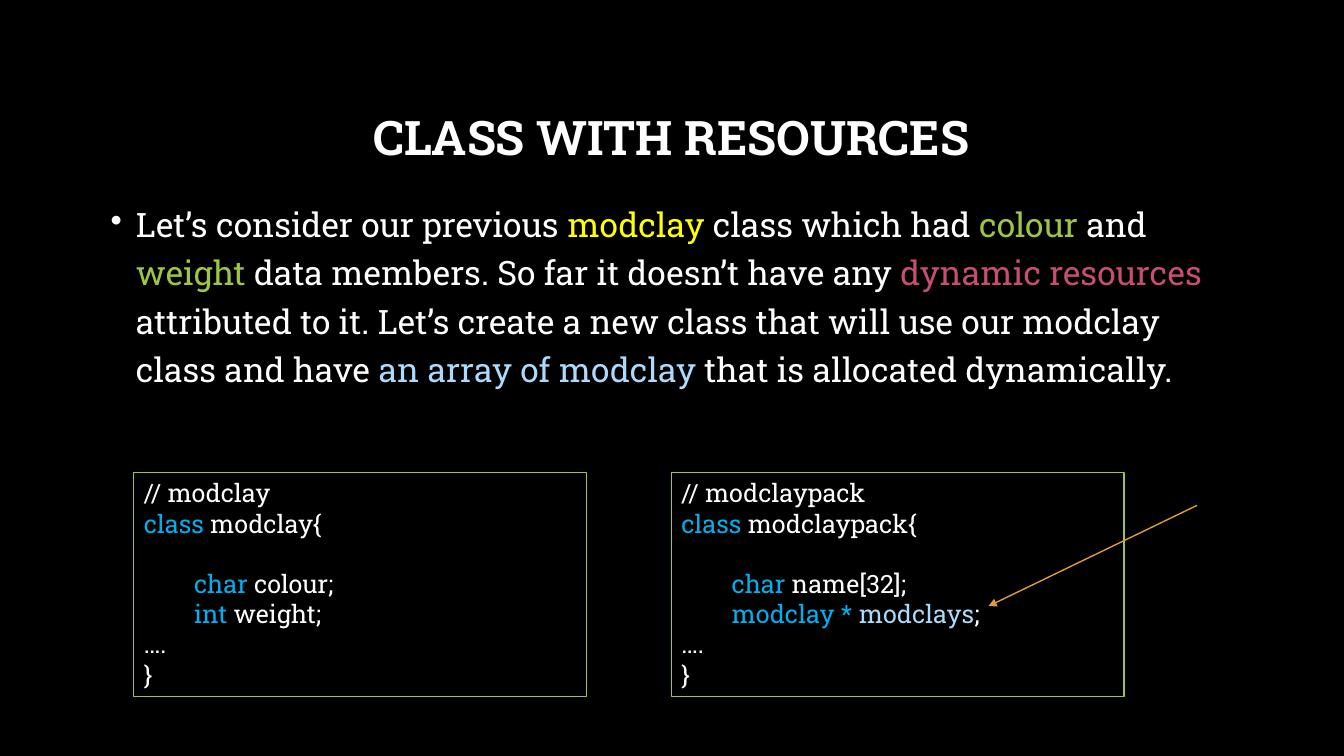
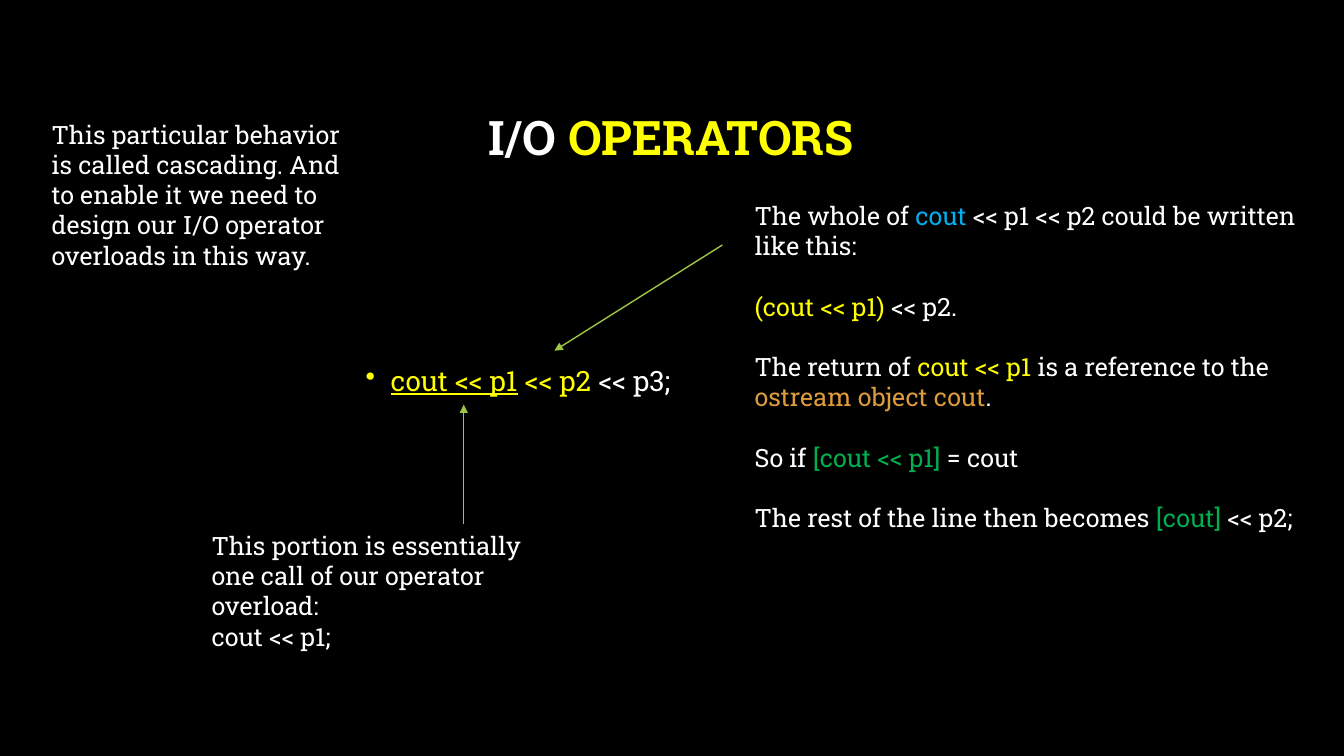
from dataclasses import dataclass, field

from lxml.etree import SubElement
from pptx import Presentation
from pptx.dml.color import RGBColor
from pptx.enum.shapes import MSO_CONNECTOR as CONNECTOR, MSO_SHAPE as SHAPE
from pptx.enum.text import MSO_ANCHOR as ANCHOR, MSO_AUTO_SIZE as AUTO, PP_ALIGN as ALIGN
from pptx.oxml.ns import qn
from pptx.util import Pt

BLACK = RGBColor(0x00, 0x00, 0x00)
WHITE = RGBColor(0xFF, 0xFF, 0xFF)
YELLOW = RGBColor(0xFF, 0xFF, 0x00)
LIME = RGBColor(0x9E, 0xC5, 0x44)
ROSE = RGBColor(0xC5, 0x4F, 0x71)
PALE = RGBColor(0xAB, 0xDA, 0xFC)
BLUE = RGBColor(0x00, 0xB0, 0xF0)
ORANGE = RGBColor(0xDE, 0x9C, 0x3C)
GREEN = RGBColor(0x00, 0xB0, 0x50)

FONT = "Roboto Slab"
TITLE_BOX = (72, 48, 815, 104.4)
TITLE_FONT = {"size": Pt(34), "bold": True}
NOTE_FONT = {"size": Pt(18)}
TITLE_FORMAT = {"alignment": ALIGN.CENTER, "line_spacing": 0.9}
PLAIN = {"alignment": ALIGN.LEFT}
GAP = {**PLAIN, "space_before": Pt(21.6)}
BULLET = {**PLAIN, "line_spacing": 1.2, "space_before": Pt(10)}
FRAME = {"word_wrap": True, "auto_size": AUTO.NONE, "vertical_anchor": ANCHOR.TOP}


@dataclass
class Para:
    """A paragraph: runs of (text, colour, optional font values) and its format."""
    runs: list
    fmt: dict = field(default_factory=lambda: PLAIN)
    indent: float = 0
    bullet: bool = False


def apply(obj, values):
    """Set each named value on the object."""
    for name, value in values.items():
        setattr(obj, name, value)


def write(tf, paras, font, **frame):
    """Fill a text frame with paragraphs."""
    apply(tf, {**FRAME, **frame})
    for i, para in enumerate(paras):
        p = tf.add_paragraph() if i else tf.paragraphs[0]
        apply(p, para.fmt)
        pPr = p._p.get_or_add_pPr()
        if para.indent:
            pPr.set("marL", str(Pt(para.indent)))
        if para.bullet:
            pPr.set("indent", str(-Pt(para.indent)))
            SubElement(pPr, qn("a:buChar")).set("char", "•")
        for text, color, *extra in para.runs:
            r = p.add_run()
            r.text = text
            apply(r.font, {"name": FONT, **font, **(extra[0] if extra else {})})
            r.font.color.rgb = color


def add_slide(prs, title):
    """Add a title-only slide with its formatted title."""
    s = prs.slides.add_slide(prs.slide_layouts[5])
    sp = s.shapes.title
    apply(sp, dict(zip(("left", "top", "width", "height"), map(Pt, TITLE_BOX))))
    write(sp.text_frame, [Para(title, TITLE_FORMAT)], TITLE_FONT,
          vertical_anchor=ANCHOR.MIDDLE)
    return s


def add_text(s, box, paras, font=NOTE_FONT):
    """Add a text box."""
    sp = s.shapes.add_textbox(*map(Pt, box))
    write(sp.text_frame, paras, font)


def add_bullet(s, box, runs, size):
    """Add a text box with one bulleted paragraph."""
    add_text(s, box, [Para(runs, BULLET, 18, True)], {"size": Pt(size)})


def add_code(s, left, name, members):
    """Add an outlined box with a class declaration."""
    sp = s.shapes.add_shape(SHAPE.RECTANGLE, *map(Pt, (left, 337.6, 323.3, 160)))
    sp.shadow.inherit = False
    sp.fill.background()
    sp.line.color.rgb = LIME
    sp.line.width = Pt(0.75)
    head = [Para([(f"// {name}", WHITE)]),
            Para([("class ", BLUE), (name + "{", WHITE)])]
    body = [Para(runs, PLAIN if i else GAP, 36) for i, runs in enumerate(members)]
    tail = [Para([(text, WHITE)]) for text in ("….", "}")]
    write(sp.text_frame, head + body + tail, NOTE_FONT)


def add_arrow(s, start, end, color):
    """Add a straight arrow that points at its end."""
    c = s.shapes.add_connector(CONNECTOR.STRAIGHT, *map(Pt, start + end))
    c.line.color.rgb = color
    c.line.width = Pt(1)
    spPr = c._element.spPr
    SubElement(spPr.find(qn("a:ln")), qn("a:tailEnd")).set("type", "triangle")
    SubElement(spPr, qn("a:effectLst"))


def resources_slide(prs):
    """Build the slide on a class with resources."""
    s = add_slide(prs, [("CLASS WITH RESOURCES", WHITE)])
    add_bullet(s, (72, 136.4, 815, 180), [
        ("Let’s consider our previous ", WHITE), ("modclay", YELLOW),
        (" class which had ", WHITE), ("colour", LIME), (" and ", WHITE),
        ("weight", LIME), (" data members. So far it doesn’t have any ", WHITE),
        ("dynamic resources", ROSE),
        (" attributed to it. Let’s create a new class that will use our modclay "
         "class and have ", WHITE),
        ("an array of modclay", PALE), (" that is allocated dynamically.", WHITE)], 24)
    add_code(s, 95.6, "modclay", [
        [("char", BLUE), (" colour;", WHITE)],
        [("int", BLUE), (" weight;", WHITE)]])
    add_code(s, 479.6, "modclaypack", [
        [("char", BLUE), (" name[32];", WHITE)],
        [("modclay * ", BLUE), ("modclays", PALE), (";", WHITE)]])
    add_arrow(s, (855, 361), (706, 433), ORANGE)


def operators_slide(prs):
    """Build the slide on cascading operators."""
    s = add_slide(prs, [("I/O ", WHITE), ("OPERATORS", YELLOW)])
    add_bullet(s, (254, 251, 278, 37), [
        ("cout << p1", YELLOW, {"underline": True}),
        (" << p2 ", YELLOW), ("<< p3;", WHITE)], 20)
    add_arrow(s, (331.3, 374), (331.3, 289), LIME)
    add_text(s, (144, 375.2, 262, 94), [
        Para([("This portion is essentially one call of our operator overload:", WHITE)]),
        Para([("cout << p1;", WHITE)])])
    add_arrow(s, (516, 175), (396, 250.5), LIME)
    add_text(s, (532, 139.5, 423, 247), [
        Para([("The whole of ", WHITE), ("cout", BLUE),
              (" << p1 << p2 could be written like this:", WHITE)]),
        Para([("(cout << p1) ", YELLOW), ("<< p2.", WHITE)], GAP),
        Para([("The return of ", WHITE), ("cout << p1 ", YELLOW),
              ("is a reference to the ", WHITE), ("ostream object cout", ORANGE),
              (".", WHITE)], GAP),
        Para([("So if ", WHITE), ("[cout << p1] ", GREEN), ("= cout", WHITE)], GAP),
        Para([("The rest of the line then becomes ", WHITE), ("[cout] ", GREEN),
              ("<< p2;", WHITE)], GAP)])
    add_text(s, (29.8, 81.5, 235, 117), [
        Para([("This particular behavior is called cascading. And to enable it we need "
               "to design our I/O operator overloads in this way.", WHITE)])])


def main():
    """Build and save the presentation."""
    prs = Presentation()
    prs.slide_width, prs.slide_height = Pt(960), Pt(540)
    fill = prs.slide_master.background.fill
    fill.solid()
    fill.fore_color.rgb = BLACK
    resources_slide(prs)
    operators_slide(prs)
    prs.save("out.pptx")


if __name__ == "__main__":
    main()
